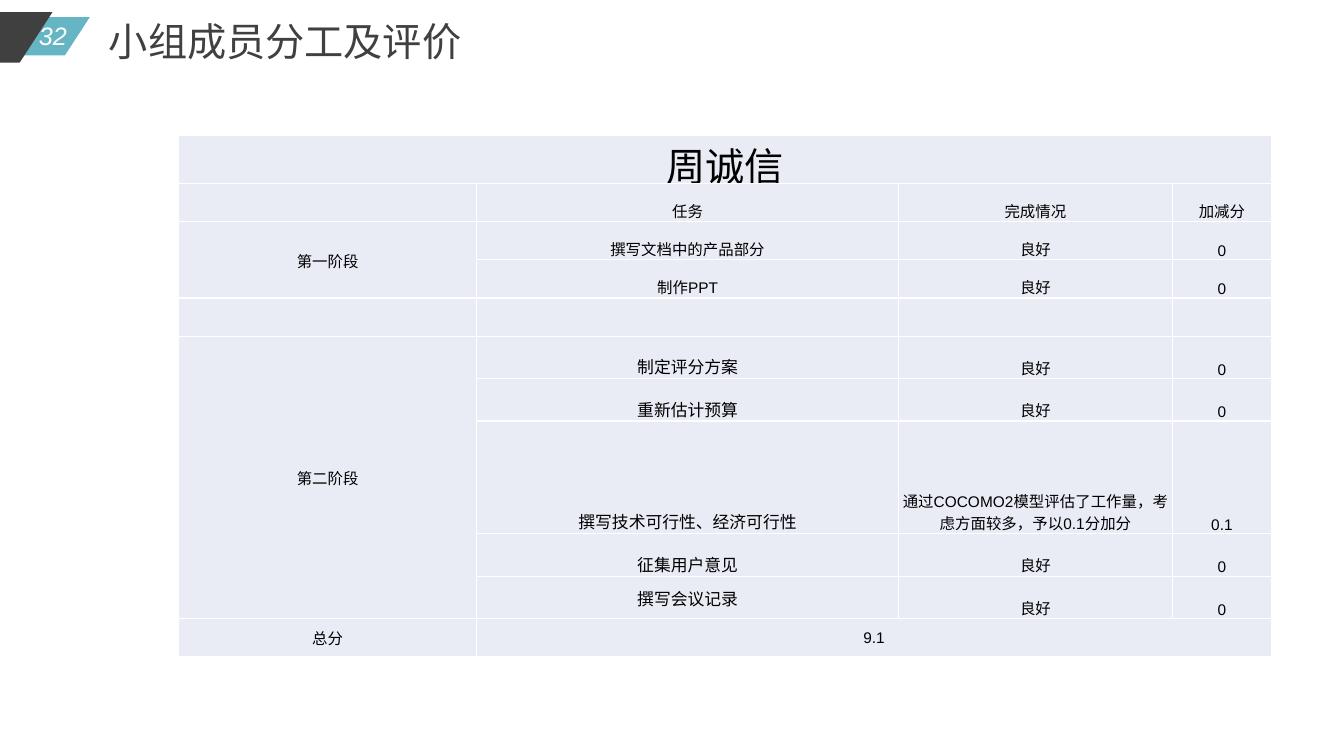
from dataclasses import dataclass

from lxml.etree import SubElement
from pptx import Presentation
from pptx.dml.color import RGBColor
from pptx.enum.shapes import MSO_SHAPE
from pptx.enum.text import MSO_ANCHOR, MSO_AUTO_SIZE, PP_ALIGN
from pptx.oxml.ns import qn
from pptx.util import Emu, Pt

PX = 9144  # 100 px to the inch
MIDDLE, BOTTOM = MSO_ANCHOR.MIDDLE, MSO_ANCHOR.BOTTOM


@dataclass
class Slant:
    left: int
    top: int
    width: int
    height: int
    color: str


@dataclass
class Entry:
    row: int
    col: int
    text: str
    size: int = 11
    anchor: MSO_ANCHOR = BOTTOM
    rows: int = 1
    cols: int = 1


@dataclass
class Task:
    name: str
    result: str = "良好"
    score: str = "0"
    size: int = 12
    anchor: MSO_ANCHOR = BOTTOM


SLANTS = [Slant(-110, 17, 199, 38, "66B5C4"), Slant(-208, 12, 260, 50, "404040")]
COLS = [296, 418, 272, 98]
ROWS = [38, 38, 38, 38, 38, 42, 42, 112, 42, 42, 38]

# First row of each phase, with its tasks
PHASES = {
    2: ("第一阶段", [Task("撰写文档中的产品部分", size=11), Task("制作PPT", size=11)]),
    5: ("第二阶段", [
        Task("制定评分方案"),
        Task("重新估计预算"),
        Task("撰写技术可行性、经济可行性",
             "通过COCOMO2模型评估了工作量，考虑方面较多，予以0.1分加分", "0.1"),
        Task("征集用户意见"),
        Task("撰写会议记录", anchor=MIDDLE),
    ]),
}


def px(n: int) -> Emu:
    return Emu(n * PX)


def rgb(color: str) -> RGBColor:
    return RGBColor.from_string(color)


def write(tf, text: str, align: PP_ALIGN, color: str, **formats) -> None:
    p = tf.paragraphs[0]
    p.alignment = align
    r = p.add_run()
    r.text = text
    r.font.color.rgb = rgb(color)
    for key, value in formats.items():
        setattr(r.font, key, value)
    SubElement(r.font._element, qn("a:ea"), typeface="Noto Sans CJK SC")


def fit(tf) -> None:
    tf.word_wrap = False
    tf.auto_size = MSO_AUTO_SIZE.SHAPE_TO_FIT_TEXT
    tf.vertical_anchor = MSO_ANCHOR.TOP


def draw_slant(s, slant: Slant) -> None:
    sp = s.shapes.add_shape(MSO_SHAPE.PARALLELOGRAM, px(slant.left), px(slant.top),
                            px(slant.width), px(slant.height))
    sp.adjustments[0] = 0.65
    sp.rotation = 180
    sp.shadow.inherit = False
    sp.fill.solid()
    sp.fill.fore_color.rgb = rgb(slant.color)
    sp.line.fill.background()


def style_cell(cell) -> None:
    cell.margin_left = cell.margin_right = cell.margin_top = px(1)
    cell.margin_bottom = 0
    tcPr = cell._tc.get_or_add_tcPr()
    for side in ("lnL", "lnR", "lnT", "lnB"):
        ln = SubElement(tcPr, qn(f"a:{side}"), w=str(Pt(1)))
        SubElement(SubElement(ln, qn("a:solidFill")), qn("a:srgbClr"), val="FFFFFF")
    cell.fill.solid()
    cell.fill.fore_color.rgb = rgb("E9EBF5")


def table_entries() -> list[Entry]:
    entries = [Entry(0, 0, "周诚信", 28, cols=4)]
    entries += [Entry(1, col, head)
                for col, head in enumerate(("任务", "完成情况", "加减分"), 1)]
    for first, (phase, tasks) in PHASES.items():
        entries.append(Entry(first, 0, phase, anchor=MIDDLE, rows=len(tasks)))
        for row, task in enumerate(tasks, first):
            entries += [Entry(row, 1, task.name, task.size, task.anchor),
                        Entry(row, 2, task.result), Entry(row, 3, task.score)]
    return entries + [Entry(10, 0, "总分", anchor=MIDDLE),
                      Entry(10, 1, "9.1", anchor=MIDDLE, cols=3)]


def draw_table(s) -> None:
    table = s.shapes.add_table(len(ROWS), len(COLS), px(177), px(134),
                               px(sum(COLS)), px(sum(ROWS))).table
    table.first_row = table.horz_banding = False
    for column, width in zip(table.columns, COLS):
        column.width = px(width)
    for row, height in zip(table.rows, ROWS):
        row.height = px(height)
    for cell in table.iter_cells():
        style_cell(cell)
    for e in table_entries():
        cell = table.cell(e.row, e.col)
        if e.rows > 1 or e.cols > 1:
            cell.merge(table.cell(e.row + e.rows - 1, e.col + e.cols - 1))
        cell.vertical_anchor = e.anchor
        write(cell.text_frame, e.text, PP_ALIGN.CENTER, "000000",
              size=Pt(e.size), name="Arial")


def main() -> None:
    prs = Presentation()
    prs.slide_width, prs.slide_height = px(1333), px(750)
    s = prs.slides.add_slide(prs.slide_layouts[5])

    # Page number on its slanted badge
    for slant in SLANTS:
        draw_slant(s, slant)
    tf = s.shapes.add_textbox(px(27), px(15), px(51), px(40)).text_frame
    fit(tf)
    write(tf, "32", PP_ALIGN.CENTER, "FFFFFF", size=Pt(18), name="Arial", italic=True)

    # Title
    title = s.shapes.title
    title.left, title.top, title.width, title.height = map(px, (98, 12, 374, 57))
    fit(title.text_frame)
    write(title.text_frame, "小组成员分工及评价", PP_ALIGN.LEFT, "404040",
          size=Pt(28), name="Noto Sans CJK SC")

    # Tasks and scores
    draw_table(s)
    prs.save("out.pptx")


if __name__ == "__main__":
    main()
